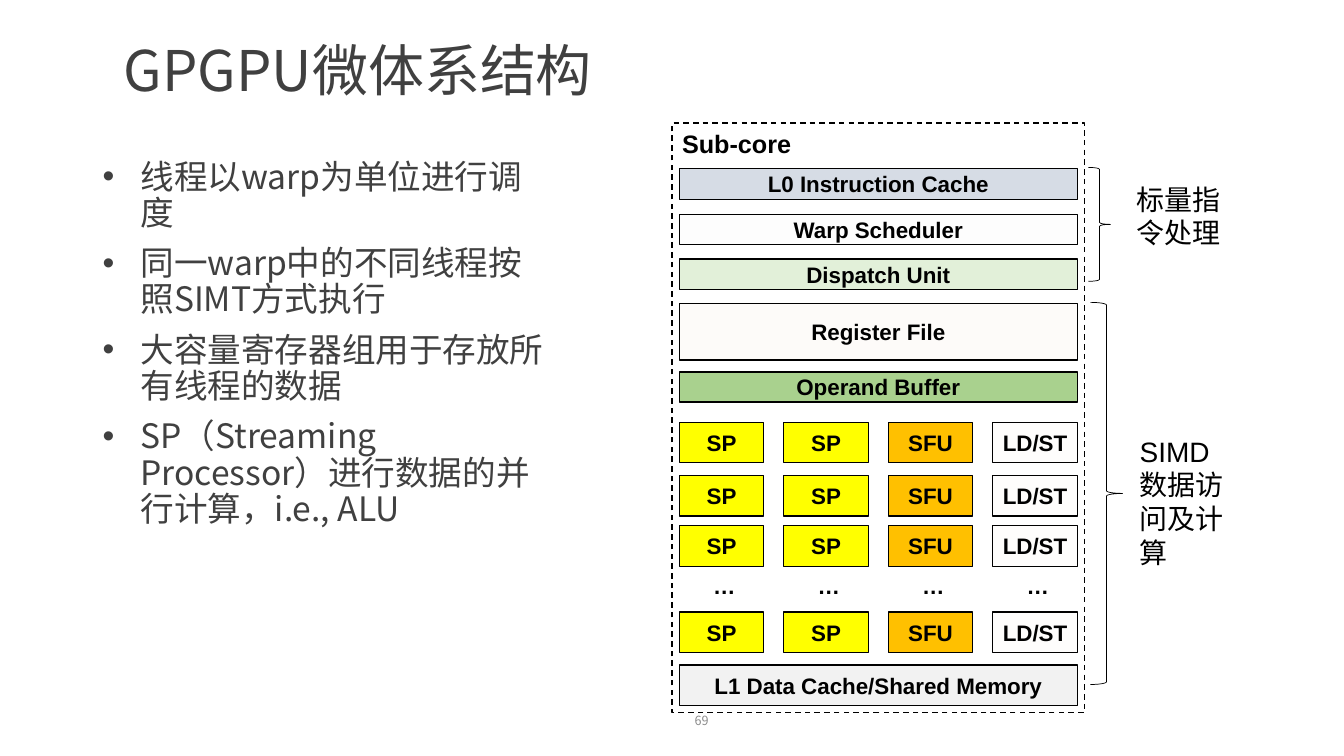
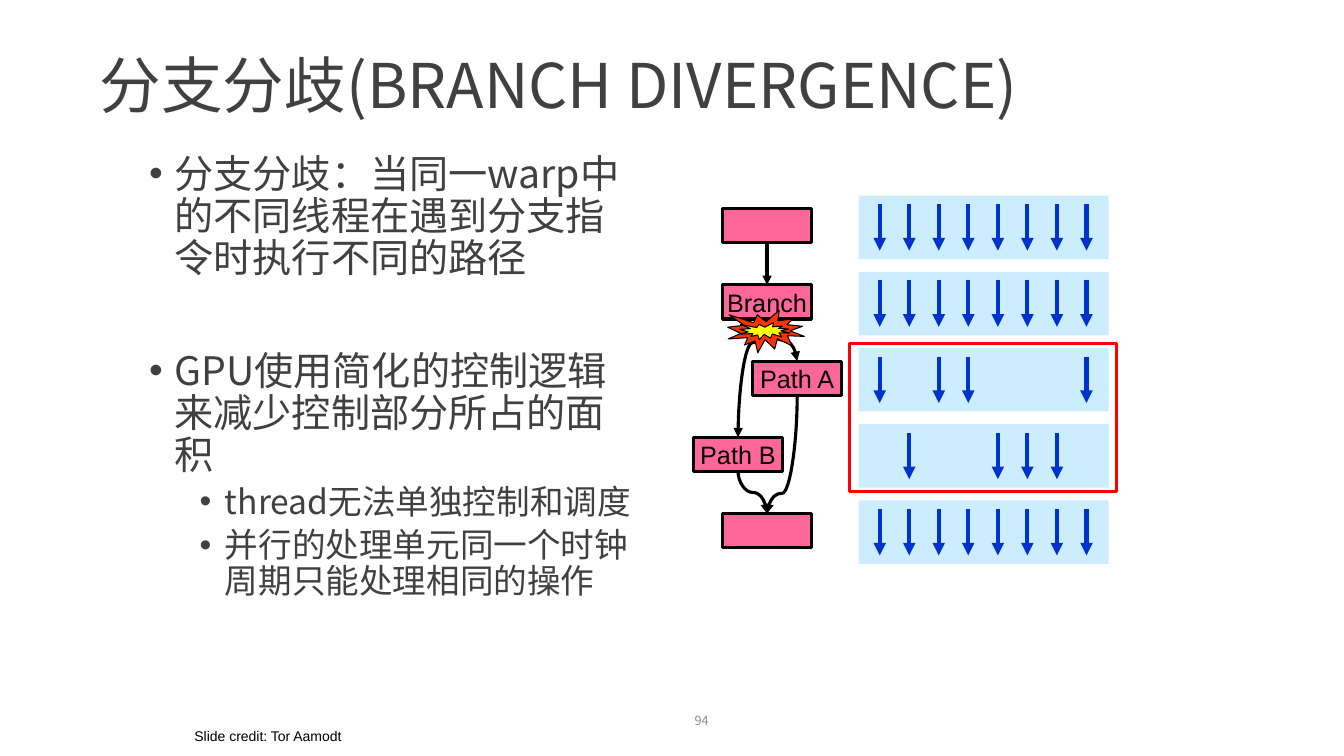
from dataclasses import dataclass

from pptx import Presentation
from pptx.dml.color import RGBColor
from pptx.enum.dml import MSO_LINE
from pptx.enum.shapes import MSO_CONNECTOR, MSO_SHAPE
from pptx.enum.text import MSO_ANCHOR, MSO_AUTO_SIZE, PP_ALIGN
from pptx.oxml.ns import qn
from pptx.util import Cm, Pt
from lxml.etree import SubElement


@dataclass(frozen=True)
class Theme:
    cjk: str = "Noto Sans CJK SC"
    sans: str = "Arial"
    ink: str = "000000"
    text: str = "404040"
    muted: str = "8C8C8C"
    sp: str = "FFFF00"
    sfu: str = "FFC000"
    ldst: str = "FEFDFC"
    band: str = "CCECFF"
    thread: str = "0033CC"
    block: str = "FF6699"
    alert: str = "FF0000"
    blast: str = "FF3300"
    flash: str = "FFFF00"
    body: int = 24
    body_large: int = 28
    label: int = 20
    block_label: int = 18
    unit: int = 16
    credit: int = 10
    page: int = 9


T = Theme()

# Body rows: level, size, space before, text. Boxes: left, top, width, height in cm.
MICROARCH = {
    "title": ("GPGPU微体系结构", 40, (2.87, 0, 13.08, 3.68)),
    "body_box": (2.34, 3.91, 11.89, 13.26),
    "indents": (0.95, 0.95),
    "body": [
        (0, T.body, 0, "线程以warp为单位进行调度"),
        (0, T.body, 10, "同一warp中的不同线程按照SIMT方式执行"),
        (0, T.body, 10, "大容量寄存器组用于存放所有线程的数据"),
        (0, T.body, 10, "SP（Streaming Processor）进行数据的并行计算，i.e., ALU"),
    ],
    "page": "69",
}
DIVERGENCE = {
    "title": ("分支分歧(BRANCH DIVERGENCE)", 44, (2.26, 0.38, 27.48, 3.68)),
    "body_box": (3.51, 3.76, 12.73, 13.69),
    "indents": (0.64, 0.64),
    "body": [
        (0, T.body_large, 0, "分支分歧：当同一warp中的不同线程在遇到分支指令时执行不同的路径"),
        (0, T.body_large, 50, "GPU使用简化的控制逻辑来减少控制部分所占的面积"),
        (1, T.body, 5, "thread无法单独控制和调度"),
        (1, T.body, 5, "并行的处理单元同一个时钟周期只能处理相同的操作"),
    ],
    "page": "94",
}
PAGE_BOX = (15.37, 17.65, 2.74, 1.02)

CORE_BOX = (16.94, 3.1, 10.39, 14.86)
CORE_LEFT, CORE_WIDTH = 17.12, 10.03
CORE_BARS = [  # label, top, height, fill
    ("L0 Instruction Cache", 4.24, 0.79, "D6DCE5"),
    ("Warp Scheduler", 5.41, 0.76, "FDFDFD"),
    ("Dispatch Unit", 6.53, 0.76, "E2F0D9"),
    ("Register File", 7.65, 1.42, "FDFBF9"),
    ("Operand Buffer", 9.37, 0.76, "A9D18E"),
    ("L1 Data Cache/Shared Memory", 16.76, 1.02, "F2F2F2"),
]
UNITS = [("SP", T.sp), ("SP", T.sp), ("SFU", T.sfu), ("LD/ST", T.ldst)]
UNIT_TOPS = [10.64, 11.98, 13.25, 15.42]
UNIT_WIDTH, UNIT_HEIGHT, DOTS_TOP = 2.13, 1.02, 14.3
BRACES = [  # brace box, label, label box
    ((27.43, 4.22, 0.56, 2.87), "标量指令处理", (28.4, 4.47, 3.05, 1.96)),
    ((27.48, 7.62, 0.81, 9.63), "SIMD数据访问及计算", (28.47, 10.82, 2.87, 2.82)),
]

STEP = 1.92
ACTIVE_THREADS = ["11111111", "11111111", "10110001", "01001110", "11111111"]
BAND_LEFT, BAND_TOP, BAND_WIDTH, BAND_HEIGHT = 21.64, 4.93, 6.3, 1.6
THREAD_LEFT, THREAD_RIGHT, THREAD_LENGTH = 22.17, 27.38, 1.17
BLOCKS = [("", 18.21), ("Branch", 18.21), ("Path A", 18.97), ("Path B", 17.48), ("", 18.21)]
BLOCK_TOP, BLOCK_WIDTH, BLOCK_HEIGHT = 5.26, 2.24, 0.86
FLOWS = [(0, 1, None), (1, 3, 0.2), (1, 2, 0.5), (2, 4, 0.83), (3, 4, 0.5)]  # from, to, bend
BLASTS = [((18.34, 7.82, 1.93, 1.07), T.blast), ((18.64, 8.13, 1.27, 0.43), T.flash)]
DIVERGED_BOX = (21.41, 8.66, 6.73, 3.73)
CREDIT = ("Slide credit: Tor Aamodt", (4.65, 18.21, 4.29, 0.69))


def rgb(value):
    return RGBColor.from_string(value)


def cms(values):
    return [Cm(v) for v in values]


def put_run(p, text, size, font=T.sans, color=T.ink, bold=False):
    r = p.add_run()
    r.text = text
    for name, value in {"size": Pt(size), "name": font, "bold": bold}.items():
        setattr(r.font, name, value)
    r.font.color.rgb = rgb(color)
    if font == T.cjk:
        SubElement(r._r.get_or_add_rPr(), qn("a:ea")).set("typeface", font)


def set_frame(tf, anchor=MSO_ANCHOR.TOP, wrap=True, inset=None):
    settings = {"word_wrap": wrap, "auto_size": MSO_AUTO_SIZE.NONE, "vertical_anchor": anchor}
    if inset is not None:
        settings.update({f"margin_{side}": Cm(inset) for side in ("left", "right", "top", "bottom")})
    for name, value in settings.items():
        setattr(tf, name, value)


def add_label(s, box, text, size, align=PP_ALIGN.LEFT, anchor=MSO_ANCHOR.TOP, wrap=True, **style):
    tf = s.shapes.add_textbox(*cms(box)).text_frame
    set_frame(tf, anchor, wrap)
    tf.paragraphs[0].alignment = align
    put_run(tf.paragraphs[0], text, size, **style)


def add_box(s, box, fill=None, line=T.ink, width=1.0, kind=MSO_SHAPE.RECTANGLE):
    sp = s.shapes.add_shape(kind, *cms(box))
    sp.shadow.inherit = False
    if fill:
        sp.fill.solid()
        sp.fill.fore_color.rgb = rgb(fill)
    else:
        sp.fill.background()
    if line:
        sp.line.color.rgb = rgb(line)
        sp.line.width = Pt(width)
    else:
        sp.line.fill.background()
    return sp


def put_centred(sp, text, size, bold=False, wrap=True):
    tf = sp.text_frame
    set_frame(tf, MSO_ANCHOR.MIDDLE, wrap, inset=0)
    tf.paragraphs[0].alignment = PP_ALIGN.CENTER
    put_run(tf.paragraphs[0], text, size, bold=bold)


def add_arrow(s, start, end, color, width, kind=MSO_CONNECTOR.STRAIGHT):
    cxn = s.shapes.add_connector(kind, *cms(start + end))
    cxn.line.color.rgb = rgb(color)
    cxn.line.width = Pt(width)
    SubElement(cxn.line._get_or_add_ln(), qn("a:tailEnd")).set("type", "triangle")
    SubElement(cxn.element.spPr, qn("a:effectLst"))
    return cxn


def add_curve(s, start, end, bend, color, width):
    """Draw a curve that leaves and arrives vertically, by turning a sideways one."""
    (x1, y1), (x2, y2) = start, end
    mid_x, mid_y = (x1 + x2) / 2, (y1 + y2) / 2
    along, across = (y2 - y1) / 2, abs(x2 - x1) / 2
    turn, way = (90, 1) if x2 < x1 else (270, -1)
    cxn = add_arrow(s, (mid_x - way * along, mid_y - across),
                    (mid_x + way * along, mid_y + across), color, width, MSO_CONNECTOR.CURVE)
    spPr = cxn.element.spPr
    spPr.find(qn("a:xfrm")).set("rot", str(turn * 60000))
    guides = spPr.find(qn("a:prstGeom")).find(qn("a:avLst"))
    guide = SubElement(guides, qn("a:gd"))
    guide.set("name", "adj1")
    guide.set("fmla", f"val {round(bend * 100000)}")


def add_body(s, box, rows, indents):
    tf = s.shapes.add_textbox(*cms(box)).text_frame
    set_frame(tf)
    margin, hang = indents
    for i, (level, size, before, text) in enumerate(rows):
        p = tf.paragraphs[0] if i == 0 else tf.add_paragraph()
        pPr = p._p.get_or_add_pPr()
        pPr.set("marL", str(Cm(margin + 1.27 * level)))
        pPr.set("indent", str(-Cm(hang)))
        SubElement(pPr, qn("a:buFont")).set("typeface", T.sans)
        SubElement(pPr, qn("a:buChar")).set("char", "•")
        for name, value in {"level": level, "line_spacing": 0.9, "space_before": Pt(before)}.items():
            setattr(p, name, value)
        put_run(p, text, size, T.cjk, T.text)


def new_slide(prs, content):
    """Add a slide with its title, bullets and page number."""
    s = prs.slides.add_slide(prs.slide_layouts[5])
    text, size, box = content["title"]
    title = s.shapes.title
    for name, value in zip(("left", "top", "width", "height"), cms(box)):
        setattr(title, name, value)
    set_frame(title.text_frame, MSO_ANCHOR.MIDDLE)
    p = title.text_frame.paragraphs[0]
    p.alignment, p.line_spacing = PP_ALIGN.LEFT, 0.9
    put_run(p, text, size, T.cjk, T.text)
    add_body(s, content["body_box"], content["body"], content["indents"])
    add_label(s, PAGE_BOX, content["page"], T.page, PP_ALIGN.RIGHT, MSO_ANCHOR.MIDDLE,
              font=T.cjk, color=T.muted)
    return s


def draw_sub_core(s):
    core = add_box(s, CORE_BOX)
    core.line.dash_style = MSO_LINE.DASH
    set_frame(core.text_frame)
    core.text_frame.paragraphs[0].alignment = PP_ALIGN.LEFT
    put_run(core.text_frame.paragraphs[0], "Sub-core", T.block_label, bold=True)
    for text, top, height, fill in CORE_BARS:
        put_centred(add_box(s, (CORE_LEFT, top, CORE_WIDTH, height), fill), text, T.unit, bold=True)
    pitch = (CORE_WIDTH - UNIT_WIDTH) / (len(UNITS) - 1)
    for col, (text, fill) in enumerate(UNITS):
        left = CORE_LEFT + col * pitch
        for top in UNIT_TOPS:
            put_centred(add_box(s, (left, top, UNIT_WIDTH, UNIT_HEIGHT), fill), text, T.unit, bold=True)
        add_label(s, (left + 0.6, DOTS_TOP, 1.17, 0.94), "…", T.unit, bold=True)
    for brace, text, box in BRACES:
        add_box(s, brace, width=0.5, kind=MSO_SHAPE.RIGHT_BRACE)
        add_label(s, box, text, T.label)


def draw_threads(s):
    for row, active in enumerate(ACTIVE_THREADS):
        top = BAND_TOP + row * STEP
        add_box(s, (BAND_LEFT, top, BAND_WIDTH, BAND_HEIGHT), T.band, line=None)
        pitch = (THREAD_RIGHT - THREAD_LEFT) / (len(active) - 1)
        start = top + (BAND_HEIGHT - THREAD_LENGTH) / 2
        for i, flag in enumerate(active):
            if flag == "1":
                x = THREAD_LEFT + i * pitch
                add_arrow(s, (x, start), (x, start + THREAD_LENGTH), T.thread, 3)
    add_box(s, DIVERGED_BOX, line=T.alert, width=2.25)


def draw_flow(s):
    boxes = [(left, BLOCK_TOP + i * STEP, BLOCK_WIDTH, BLOCK_HEIGHT)
             for i, (_, left) in enumerate(BLOCKS)]
    for source, target, bend in FLOWS:
        start = (boxes[source][0] + BLOCK_WIDTH / 2, boxes[source][1] + BLOCK_HEIGHT)
        end = (boxes[target][0] + BLOCK_WIDTH / 2, boxes[target][1])
        if bend is None:
            add_arrow(s, start, end, T.ink, 2.25)
        else:
            add_curve(s, start, end, bend, T.ink, 2.25)
    for (text, _), box in zip(BLOCKS, boxes):
        sp = add_box(s, box, T.block, width=2.25)
        if text:
            put_centred(sp, text, T.block_label, wrap=False)
    for box, fill in BLASTS:
        add_box(s, box, fill, width=0.75, kind=MSO_SHAPE.EXPLOSION1)


def main():
    prs = Presentation()
    prs.slide_width, prs.slide_height = Cm(33.87), Cm(19.05)
    draw_sub_core(new_slide(prs, MICROARCH))
    s = new_slide(prs, DIVERGENCE)
    draw_threads(s)
    draw_flow(s)
    text, box = CREDIT
    add_label(s, box, text, T.credit, wrap=False)
    prs.save("out.pptx")


if __name__ == "__main__":
    main()
